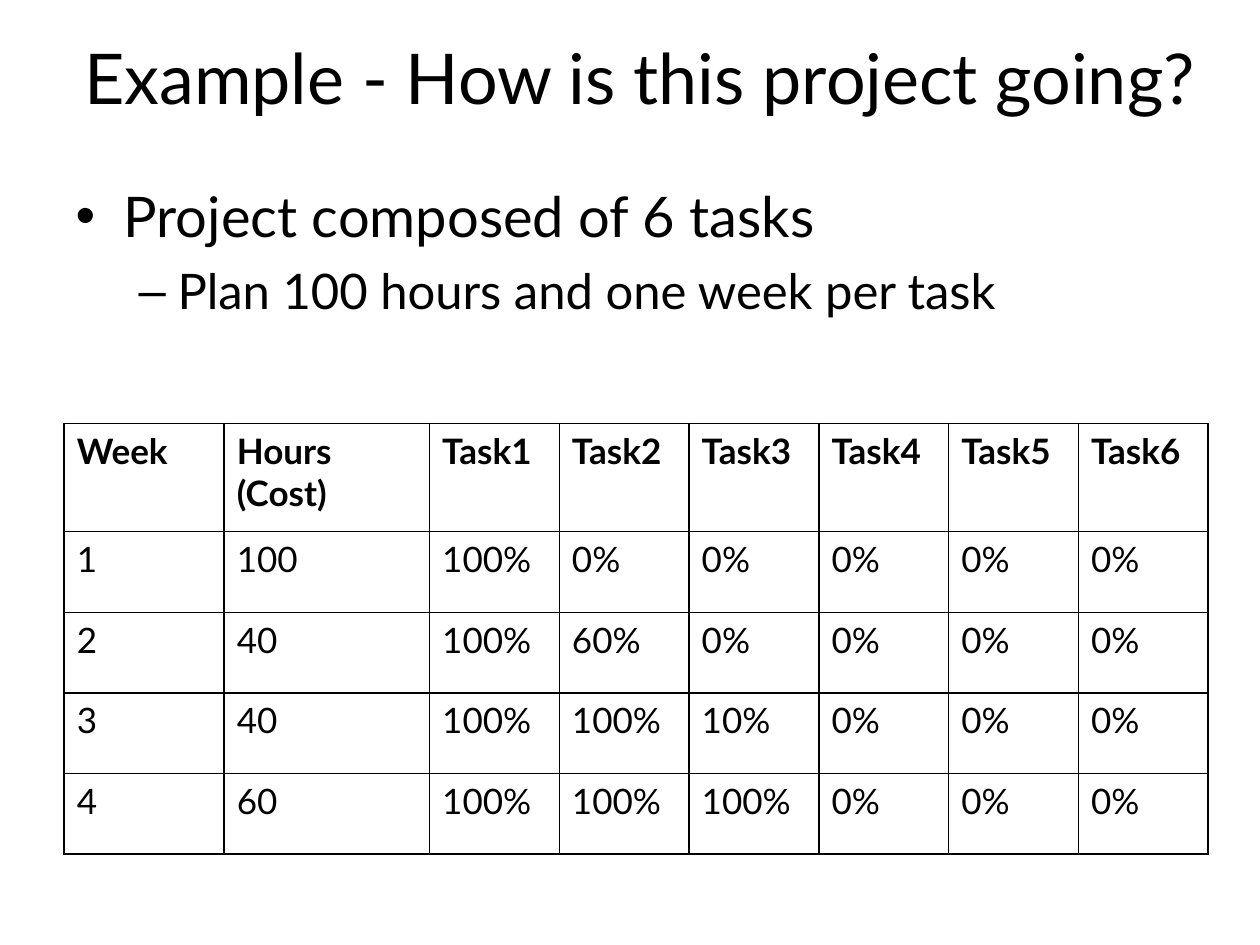
from dataclasses import dataclass

from lxml import etree
from pptx import Presentation
from pptx import util as u
from pptx.dml.color import RGBColor
from pptx.enum import text
from pptx.oxml import ns


@dataclass(frozen=True)
class Theme:
    """Colours, font and type sizes of the slide."""

    font: str = "Lato"
    ink: str = "000000"
    title: int = 40
    items: tuple = (32, 28)
    cell: int = 20
    rule: float = 0.96


THEME = Theme()
ITEMS = [
    ("Project composed of 6 tasks", "•", 0.38, -0.38, 0),
    ("Plan 100 hours and one week per task", "–", 0.81, -0.31, 7),
]
HEAD = ["Week", "Hours (Cost)"] + [f"Task{n}" for n in range(1, 7)]
WEEKS = [
    (100, [100, 0, 0, 0, 0, 0]),
    (40, [100, 60, 0, 0, 0, 0]),
    (40, [100, 100, 10, 0, 0, 0]),
    (60, [100, 100, 100, 0, 0, 0]),
]


def add_run(para, words, size, bold=False):
    """Add one styled run to a paragraph."""
    run = para.add_run()
    run.text = words
    font = run.font
    font.name, font.size, font.bold = THEME.font, u.Pt(size), bold
    font.color.rgb = RGBColor.from_string(THEME.ink)


def add_ink(parent):
    """Append a solid fill in the ink colour."""
    fill = etree.SubElement(parent, ns.qn("a:solidFill"))
    etree.SubElement(fill, ns.qn("a:srgbClr"), val=THEME.ink)


def set_frame(shape, box, anchor):
    """Move a placeholder and return its text frame."""
    shape.left, shape.top, shape.width, shape.height = map(u.Inches, box)
    frame = shape.text_frame
    frame.word_wrap = True
    frame.auto_size = text.MSO_AUTO_SIZE.NONE
    frame.vertical_anchor = anchor
    return frame


def set_title(slide):
    """Fill the title placeholder."""
    box = (0.43, 0.21, 9.29, 0.79)
    frame = set_frame(slide.shapes.title, box, text.MSO_ANCHOR.MIDDLE)
    para = frame.paragraphs[0]
    para.alignment = text.PP_ALIGN.CENTER
    add_run(para, "Example - How is this project going?", THEME.title)


def set_bullet(para, mark, left, hang):
    """Give a paragraph its indent and bullet mark."""
    props = para._p.get_or_add_pPr()
    props.set("marL", str(u.Inches(left)))
    props.set("indent", str(u.Inches(hang)))
    tint = etree.SubElement(props, ns.qn("a:buClr"))
    etree.SubElement(tint, ns.qn("a:srgbClr"), val=THEME.ink)
    etree.SubElement(props, ns.qn("a:buChar"), char=mark)


def set_list(slide):
    """Fill the body placeholder with the two-level list."""
    box = (0.5, 1.39, 9, 1.81)
    frame = set_frame(slide.placeholders[1], box, text.MSO_ANCHOR.TOP)
    for level, (words, mark, left, hang, space) in enumerate(ITEMS):
        para = frame.add_paragraph() if level else frame.paragraphs[0]
        para.level = level
        set_bullet(para, mark, left, hang)
        para.space_before = u.Pt(space)
        add_run(para, words, THEME.items[level])


def set_cell(cell, words, bold):
    """Write a cell with thin rules on all sides and no fill."""
    para = cell.text_frame.paragraphs[0]
    para.alignment = text.PP_ALIGN.JUSTIFY
    add_run(para, words, THEME.cell, bold)
    props = cell._tc.get_or_add_tcPr()
    for side in "LRTB":
        line = etree.SubElement(props, ns.qn(f"a:ln{side}"), w=str(u.Pt(THEME.rule)))
        add_ink(line)
    cell.fill.background()


def add_grid(slide):
    """Add the table of weekly hours and task progress."""
    wide = [1.27, 1.63] + [1.03] * 6
    high = [0.86] + [0.64] * len(WEEKS)
    rows = [HEAD]
    for week, (hours, done) in enumerate(WEEKS, 1):
        rows.append([str(week), str(hours)] + [f"{part}%" for part in done])
    box = map(u.Inches, (0.51, 3.36, sum(wide), sum(high)))
    table = slide.shapes.add_table(len(rows), len(HEAD), *box).table
    table.first_row = table.horz_banding = False
    for col, width in zip(table.columns, wide):
        col.width = u.Inches(width)
    for row, height, words in zip(table.rows, high, rows):
        row.height = u.Inches(height)
        for cell, word in zip(row.cells, words):
            set_cell(cell, word, words is HEAD)


def main():
    """Build and save the slide."""
    deck = Presentation()
    deck.slide_width, deck.slide_height = u.Inches(10), u.Inches(7.5)
    slide = deck.slides.add_slide(deck.slide_layouts[1])
    set_title(slide)
    set_list(slide)
    add_grid(slide)
    deck.save("out.pptx")


if __name__ == "__main__":
    main()
